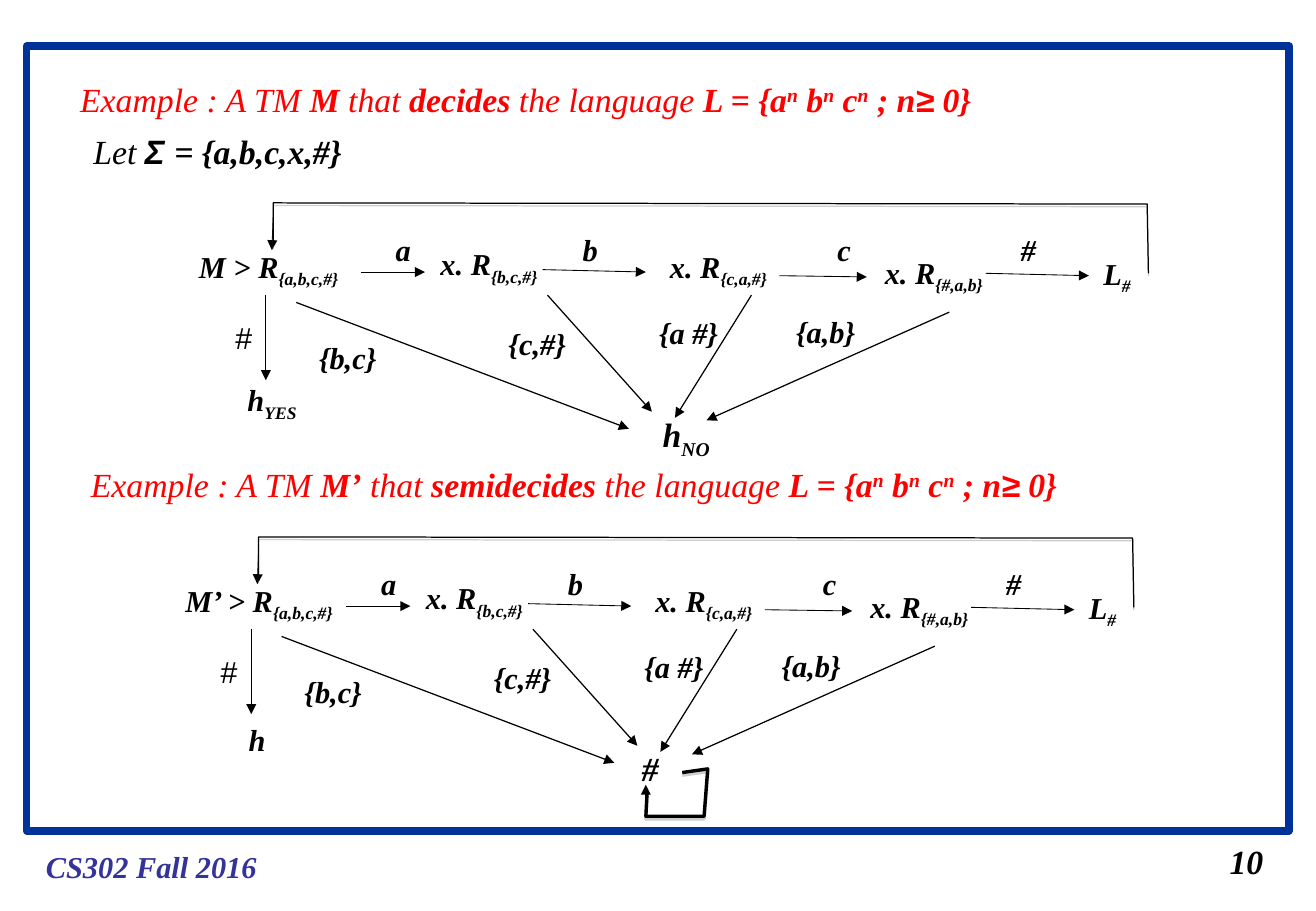
from dataclasses import dataclass

from lxml import etree
from pptx import Presentation
from pptx import util as u
from pptx.dml.color import RGBColor
from pptx.enum import shapes, text
from pptx.oxml import parse_xml
from pptx.oxml.ns import nsdecls, qn


@dataclass(frozen=True)
class Theme:
    serif: str = "Times New Roman"
    sans: str = "Arial"
    ink: str = "000000"
    heading: str = "FF0000"
    frame: str = "003399"
    footer: str = "333399"
    shadow: str = "808080"
    large: int = 20
    normal: int = 18
    hairline: float = 0.5
    thin: float = 0.75
    thick: float = 2
    border: float = 4.5


THEME = Theme()
PLAIN = {"bold": False}
SYMBOL = {"name": THEME.sans}
UPRIGHT = {"name": THEME.sans, "bold": False, "italic": False}
SUB = {"baseline": -25}
SUP = {"baseline": 30}


def heading_runs(machine, verb):
    return [("Example : A TM ", PLAIN), (machine, {}), (" that ", PLAIN), (verb, {}),
            (" the language ", PLAIN), ("L = {a", {}), ("n", SUP), (" b", {}), ("n", SUP),
            (" c", {}), ("n", SUP), (" ; n", {}), ("≥", SYMBOL), (" 0}", {})]


DECIDES = heading_runs("M", "decides")
SEMIDECIDES = heading_runs("M’", "semidecides")
ALPHABET = [("Let ", PLAIN), ("Σ ", SYMBOL), ("= {a,b,c,x,#}", {})]

# Parts shared by both machines, placed as in the upper diagram.
# (left, top, width, height), wraps, runs
STATES_AND_LABELS = [
    ((3.53, 1.97, 1, 0.44), False, [("x. R", {}), ("{b,c,#}", SUB)]),
    ((5.42, 1.99, 1, 0.44), False, [("x. R", {}), ("{c,a,#}", SUB)]),
    ((7.19, 2.04, 1.01, 0.44), False, [("x. R", {}), ("{#,a,b}", SUB)]),
    ((8.99, 2.05, 0.49, 0.44), True, [("L", {}), ("#", SUB)]),
    ((3.16, 1.85, 0.32, 0.4), False, [("a", {})]),
    ((4.7, 1.85, 0.32, 0.4), False, [("b", {})]),
    ((6.8, 1.85, 0.31, 0.4), False, [("c", {})]),
    ((8.31, 1.85, 0.32, 0.4), False, [("#", {})]),
    ((1.84, 2.58, 0.34, 0.4), False, [("#", UPRIGHT)]),
    ((2.53, 2.74, 0.67, 0.4), False, [("{b,c}", {})]),
    ((4.09, 2.63, 0.91, 0.4), True, [("{c,#}", {})]),
    ((5.33, 2.54, 0.68, 0.4), False, [("{a #}", {})]),
    ((6.46, 2.53, 0.68, 0.4), False, [("{a,b}", {})]),
]
STEP_ARROWS = [
    ((2.97, 2.24), (3.5, 2.24)), ((4.47, 2.22), (5.32, 2.24)),
    ((6.42, 2.27), (7.14, 2.28)), ((8.12, 2.25), (8.97, 2.27)),
    ((2.25, 1.79), (2.24, 2.06)), ((2.19, 2.43), (2.19, 3.13)),
]
REJECT_ARROWS = [
    ((2.44, 2.49), (5.18, 3.53)), ((4.51, 2.43), (5.37, 3.39)),
    ((6.19, 2.43), (5.56, 3.44)), ((7.82, 2.57), (5.82, 3.46)),
]
RETURN_PATH = [(9.46, 2.25), (9.45, 1.68), (2.25, 1.67), (2.25, 2.03)]

# Parts that differ: box, runs, size
DECIDER = {
    "offset": (0, 0),
    "labels": [
        ((1.54, 1.99, 1.42, 0.44), [("M > R", {}), ("{a,b,c,#}", SUB)], THEME.normal),
        ((1.94, 3.09, 0.6, 0.44), [("h", {}), ("YES", SUB)], THEME.normal),
        ((5.36, 3.36, 0.59, 0.48), [("h", {}), ("NO", SUB)], THEME.large),
    ],
}
SEMIDECIDER = {
    "offset": (-0.12, 2.75),
    "labels": [
        ((1.43, 4.74, 1.5, 0.44), [("M’ > R", {}), ("{a,b,c,#}", SUB)], THEME.normal),
        ((1.95, 5.89, 0.34, 0.4), [("h", {})], THEME.normal),
        ((5.19, 6.11, 0.34, 0.44), [("#", {})], THEME.large),
    ],
}
LOOP_PATH = [(5.62, 6.36), (5.83, 6.33), (5.8, 6.72), (5.32, 6.72), (5.33, 6.53)]
LOOP_ARROW = ((5.32, 6.71), (5.32, 6.46))


def inches(values):
    return [u.Inches(value) for value in values]


def shifted(point, offset):
    return round(point[0] + offset[0], 2), round(point[1] + offset[1], 2)


def fill_text(shape, runs, size, color, wraps):
    frame = shape.text_frame
    settings = {"word_wrap": wraps, "auto_size": text.MSO_AUTO_SIZE.NONE,
                "vertical_anchor": text.MSO_ANCHOR.TOP}
    for name, value in settings.items():
        setattr(frame, name, value)
    paragraph = frame.paragraphs[0]
    paragraph.alignment = text.PP_ALIGN.LEFT
    for words, changes in runs:
        run = paragraph.add_run()
        run.text = words
        style = {"name": THEME.serif, "size": u.Pt(size), "bold": True, "italic": True, **changes}
        baseline = style.pop("baseline", None)
        for name, value in style.items():
            setattr(run.font, name, value)
        run.font.color.rgb = RGBColor.from_string(color)
        if baseline:
            run._r.get_or_add_rPr().set("baseline", str(baseline * 1000))


def add_label(slide, box, runs, size=THEME.normal, color=THEME.ink, wraps=False):
    fill_text(slide.shapes.add_textbox(*inches(box)), runs, size, color, wraps)


def set_line(shape, width, color=THEME.ink):
    shape.line.color.rgb = RGBColor.from_string(color)
    shape.line.width = u.Pt(width)


def add_arrow(slide, start, end, width):
    arrow = slide.shapes.add_connector(shapes.MSO_CONNECTOR.STRAIGHT, *inches(start + end))
    set_line(arrow, width)
    etree.SubElement(arrow.line._get_or_add_ln(), qn("a:tailEnd"), type="triangle")
    etree.SubElement(arrow._element.spPr, qn("a:effectLst"))


def add_path(slide, points, width):
    """Draw an open, unfilled outline with a hard shadow just below it."""
    first, *others = [inches(point) for point in points]
    builder = slide.shapes.build_freeform(*first)
    builder.add_line_segments(others, close=False)
    path = builder.convert_to_shape()
    path.fill.background()
    set_line(path, width)
    path._element.spPr.append(parse_xml(
        f'<a:effectLst {nsdecls("a")}><a:outerShdw blurRad="0" dist="{u.Pt(1.6)}" dir="5400000">'
        f'<a:srgbClr val="{THEME.shadow}"><a:alpha val="38000"/></a:srgbClr>'
        '</a:outerShdw></a:effectLst>'))


def add_machine(slide, machine):
    offset = machine["offset"]
    for box, runs, size in machine["labels"]:
        add_label(slide, box, runs, size)
    for box, wraps, runs in STATES_AND_LABELS:
        add_label(slide, shifted(box[:2], offset) + box[2:], runs, wraps=wraps)
    for arrows, width in ((STEP_ARROWS, THEME.hairline), (REJECT_ARROWS, THEME.thin)):
        for start, end in arrows:
            add_arrow(slide, shifted(start, offset), shifted(end, offset), width)
    add_path(slide, [shifted(point, offset) for point in RETURN_PATH], THEME.thin)


def add_frame(slide):
    frame = slide.shapes.add_shape(shapes.MSO_SHAPE.RECTANGLE, *inches((0.22, 0.38, 10.4, 6.46)))
    frame.shadow.inherit = False
    frame.fill.background()
    set_line(frame, THEME.border, THEME.frame)


def main():
    presentation = Presentation()
    presentation.slide_width, presentation.slide_height = inches((10.84, 7.5))
    slide = presentation.slides.add_slide(presentation.slide_layouts[5])
    add_frame(slide)
    title = slide.shapes.title
    title.left, title.top, title.width, title.height = inches((0.56, 0.6, 9.76, 0.44))
    fill_text(title, DECIDES, THEME.large, THEME.heading, True)
    add_label(slide, (0.67, 1.03, 2.21, 0.48), ALPHABET, THEME.large)
    add_label(slide, (0.65, 3.77, 8.31, 0.44), SEMIDECIDES, THEME.large, THEME.heading, True)
    add_label(slide, (0.28, 6.93, 1.93, 0.4), [("CS302 Fall 2016", {})], color=THEME.footer)
    add_label(slide, (10.03, 6.87, 0.48, 0.44), [("10", {})], THEME.large)
    for machine in (DECIDER, SEMIDECIDER):
        add_machine(slide, machine)
    add_path(slide, LOOP_PATH, THEME.thick)
    add_arrow(slide, *LOOP_ARROW, THEME.thin)
    presentation.save("out.pptx")


if __name__ == "__main__":
    main()
